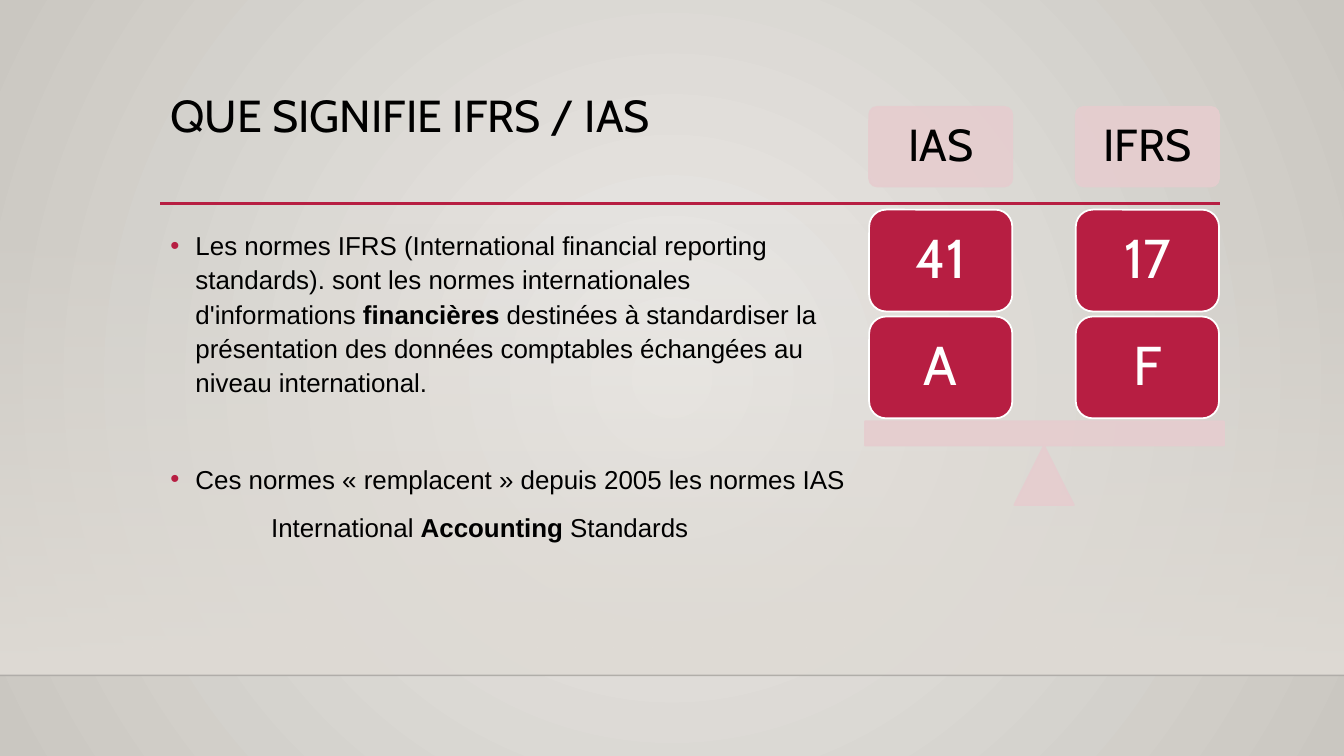
from dataclasses import dataclass

from lxml.etree import SubElement
from pptx import Presentation
from pptx.dml.color import RGBColor as Rgb
from pptx.enum.shapes import MSO_CONNECTOR as Conn, MSO_SHAPE as Kind
from pptx.enum.text import MSO_ANCHOR as Anchor, PP_ALIGN as Align
from pptx.oxml import parse_xml
from pptx.oxml.ns import nsdecls, qn
from pptx.util import Inches, Pt

HUES = {
    "red": "B71E42", "pink": "E6CDCF", "white": "FFFFFF", "black": "000000",
    "edge": "000001", "floor": "DFDBD5", "light": "ECEAE7", "dark": "CAC7C1",
}


@dataclass
class Block:
    kind: Kind
    left: float
    top: float
    width: float
    height: float
    fill: str
    line: str
    alpha: int = 100
    text: str = ""
    size: int = 32
    ink: str = "black"
    round: float | None = None


@dataclass
class Rule:
    left: float
    right: float
    top: float
    hue: str
    width: float
    alpha: int = 100


@dataclass
class Para:
    runs: list[tuple[str, bool]]
    before: float
    margin: float = 0.25
    bullet: bool = True


def hue(name: str) -> Rgb:
    """Return the named colour."""
    return Rgb.from_string(HUES[name])


def fade(node, alpha: int) -> None:
    """Set the opacity, in percent, of each colour under a node."""
    if alpha < 100:
        for clr in node.iter(qn("a:srgbClr")):
            SubElement(clr, qn("a:alpha"), val=str(alpha * 1000))


def blend(node, first: str, last: str, way: str, alpha: int = 100) -> None:
    """Replace the gradient under a node by a two-stop one."""
    old = next(node.iter(qn("a:gradFill")))
    new = parse_xml(
        f'<a:gradFill {nsdecls("a")} rotWithShape="1"><a:gsLst>'
        f'<a:gs pos="0"><a:srgbClr val="{HUES[first]}">'
        f'<a:alpha val="{alpha * 1000}"/></a:srgbClr></a:gs>'
        f'<a:gs pos="100000"><a:srgbClr val="{HUES[last]}"/></a:gs>'
        f'</a:gsLst>{way}</a:gradFill>')
    old.getparent().replace(old, new)


def write(para, text: str, font: str, size: float, ink: str = "black",
          bold: bool = False) -> None:
    """Add one formatted run."""
    run = para.add_run()
    run.text = text
    run.font.name, run.font.size, run.font.bold = font, Pt(size), bold
    run.font.color.rgb = hue(ink)


def draw_block(slide, block: Block) -> None:
    """Draw a filled shape with its centred label."""
    shape = slide.shapes.add_shape(
        block.kind, Inches(block.left), Inches(block.top),
        Inches(block.width), Inches(block.height))
    shape.shadow.inherit = False
    if block.round is not None:
        shape.adjustments[0] = block.round
    shape.fill.solid()
    shape.fill.fore_color.rgb = hue(block.fill)
    shape.line.color.rgb = hue(block.line)
    shape.line.width = Pt(1.25)
    fade(shape.element.spPr, block.alpha)
    if block.text:
        frame = shape.text_frame
        frame.vertical_anchor = Anchor.MIDDLE
        para = frame.paragraphs[0]
        para.alignment, para.line_spacing = Align.CENTER, 0.9
        write(para, block.text, "Cabin", block.size, block.ink)


def draw_rule(slide, rule: Rule) -> None:
    """Draw a level line."""
    line = slide.shapes.add_connector(
        Conn.STRAIGHT, Inches(rule.left), Inches(rule.top),
        Inches(rule.right), Inches(rule.top))
    line.line.color.rgb = hue(rule.hue)
    line.line.width = Pt(rule.width)
    props = line.element.spPr
    fade(props, rule.alpha)
    SubElement(props, qn("a:effectLst"))


def draw_ground(slide) -> None:
    """Draw the background and the wall above the floor."""
    slide.background.fill.gradient()
    blend(slide.element, "light", "dark",
          '<a:path path="circle"><a:fillToRect l="50000" t="50000" '
          'r="50000" b="50000"/></a:path>')
    wall = slide.shapes.add_shape(
        Kind.RECTANGLE, 0, Inches(2.21), Inches(13.33), Inches(4.49))
    wall.shadow.inherit = False
    wall.line.fill.background()
    wall.fill.gradient()
    blend(wall.element, "floor", "floor", '<a:lin ang="5400000" scaled="0"/>', 0)


def draw_title(slide, text: str) -> None:
    """Place and fill the title."""
    title = slide.shapes.title
    title.left, title.top = Inches(1.59), Inches(0.88)
    title.width, title.height = Inches(10.5), Inches(1.15)
    title.text_frame.vertical_anchor = Anchor.TOP
    para = title.text_frame.paragraphs[0]
    para.alignment, para.line_spacing = Align.LEFT, 0.9
    write(para, text, "Cabin", 32)


def draw_body(slide, paras: list[Para]) -> None:
    """Write the body text."""
    box = slide.shapes.add_textbox(
        Inches(1.59), Inches(2.2), Inches(6.95), Inches(3.77))
    frame = box.text_frame
    frame.word_wrap = True
    for i, item in enumerate(paras):
        para = frame.add_paragraph() if i else frame.paragraphs[0]
        para.line_spacing, para.space_before = 1.1, Pt(item.before)
        props = para._p.get_or_add_pPr()
        props.set("marL", str(Inches(item.margin)))
        if item.bullet:
            props.set("indent", str(-Inches(item.margin)))
            tint = SubElement(props, qn("a:buClr"))
            SubElement(tint, qn("a:srgbClr"), val=HUES["red"])
            SubElement(props, qn("a:buFont"), typeface="Arial")
            SubElement(props, qn("a:buChar"), char="•")
        for text, bold in item.runs:
            write(para, text, "Arial", 18.5, bold=bold)


def draw_scale(slide) -> None:
    """Draw the balance with its two stacks of cards."""
    stacks = [("IAS", "41", "A"), ("IFRS", "17", "F")]
    for col, (head, *cards) in enumerate(stacks):
        left = 8.62 + 2.05 * col
        draw_block(slide, Block(Kind.ROUNDED_RECTANGLE, left, 1.06, 1.42, 0.79,
                                "pink", "pink", 90, head, round=0.1))
        for row, text in enumerate(cards):
            draw_block(slide, Block(
                Kind.ROUNDED_RECTANGLE, left, 2.08 + 1.06 * row, 1.42, 1.01,
                "red", "white", text=text, size=39, ink="white"))
    for kind, *place in [(Kind.ISOSCELES_TRIANGLE, 10.06, 4.42, 0.59, 0.59),
                         (Kind.RECTANGLE, 8.58, 4.18, 3.56, 0.24)]:
        draw_block(slide, Block(kind, *place, "pink", "pink", 90))


def main() -> None:
    """Build and save the slide."""
    deck = Presentation()
    deck.slide_width, deck.slide_height = Inches(13.33), Inches(7.5)
    slide = deck.slides.add_slide(deck.slide_layouts[5])
    draw_ground(slide)
    draw_rule(slide, Rule(0, 13.33, 6.7, "edge", 1, 20))
    draw_rule(slide, Rule(1.59, 12.1, 2.02, "red", 2.5))
    draw_title(slide, "QUE SIGNIFIE IFRS / IAS")
    draw_body(slide, [
        Para([("Les normes IFRS (International financial reporting standards). "
               "sont les normes internationales d'informations ", False),
              ("financières", True),
              (" destinées à standardiser la présentation des données "
               "comptables échangées au niveau international.", False)], 0),
        Para([("Ces normes « remplacent » depuis 2005 les normes IAS", False)],
             44.5),
        Para([("International ", False), ("Accounting", True),
              (" Standards", False)], 10, 1, False),
    ])
    draw_scale(slide)
    deck.save("out.pptx")


if __name__ == "__main__":
    main()
